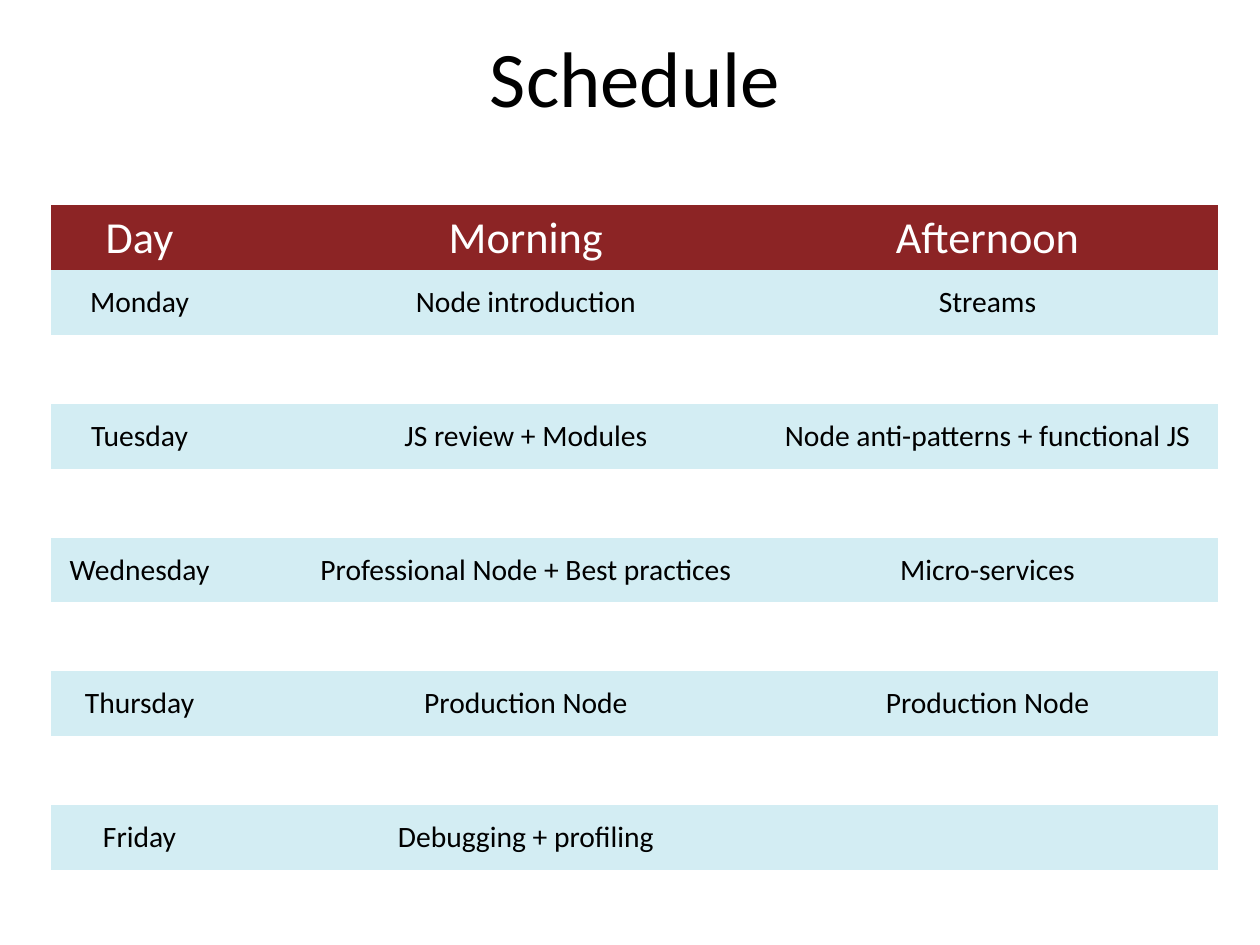
import pptx
import pptx.util
import pptx.dml.color
import pptx.enum.text

Inches = pptx.util.Inches
COLORS = {"head": "8C2425", "band": "D3EDF3", "gap": "FFFFFF",
          "light": "FFFFFF", "dark": "000000"}
HEAD = ("Day", "Morning", "Afternoon")
DAYS = [
    ("Monday", "Node introduction", "Streams"),
    ("Tuesday", "JS review + Modules", "Node anti-patterns + functional JS"),
    ("Wednesday", "Professional Node + Best practices", "Micro-services"),
    ("Thursday", "Production Node", "Production Node"),
    ("Friday", "Debugging + profiling", ""),
]
WIDTHS = (1.99, 0.76, 5.21, 5.21)
BAND, GAP = 0.73, 0.78
PLAIN = "{2D5ABB26-0587-4C30-8999-92F81FD0307C}"


def color(name):
    return pptx.dml.color.RGBColor.from_string(COLORS[name])


def write(frame, text, size, ink):
    frame.text = text
    para = frame.paragraphs[0]
    para.alignment = pptx.enum.text.PP_ALIGN.CENTER
    para.font.name = "Calibri"
    para.font.size = pptx.util.Pt(size)
    para.font.color.rgb = color(ink)


def inset(box):
    box.margin_left = box.margin_right = Inches(0.06)
    box.margin_top = box.margin_bottom = Inches(0.06)
    box.vertical_anchor = pptx.enum.text.MSO_ANCHOR.MIDDLE


def add_title(slide, text):
    title = slide.shapes.title
    title.left, title.top = Inches(0.57), Inches(0.28)
    title.width, title.height = Inches(13.19), Inches(1.15)
    inset(title.text_frame)
    write(title.text_frame, text, 64, "dark")


def fill_row(table, index, texts, fill, size, ink):
    table.rows[index].height = Inches(GAP if fill == "gap" else BAND)
    for cell in table.rows[index].cells:
        cell.fill.solid()
        cell.fill.fore_color.rgb = color(fill)
        inset(cell)
    for col, text in zip((0, 2, 3), texts):
        if text:
            write(table.cell(index, col).text_frame, text, size, ink)


def add_plan(slide):
    count = 2 * len(DAYS)
    height = BAND * (len(DAYS) + 1) + GAP * (len(DAYS) - 1)
    frame = slide.shapes.add_table(count, len(WIDTHS), Inches(0.58), Inches(2.32),
                                   Inches(sum(WIDTHS)), Inches(height))
    table = frame.table
    table.first_row = table.horz_banding = False
    table._tbl.tblPr[0].text = PLAIN
    for column, width in zip(table.columns, WIDTHS):
        column.width = Inches(width)
    fill_row(table, 0, HEAD, "head", 36, "light")
    for num, day in enumerate(DAYS):
        fill_row(table, 2 * num + 1, day, "band", 24, "dark")
    for index in range(2, count, 2):
        fill_row(table, index, (), "gap", 24, "dark")


def main():
    deck = pptx.Presentation()
    deck.slide_width, deck.slide_height = Inches(14.22), Inches(10.67)
    slide = deck.slides.add_slide(deck.slide_layouts[5])
    add_title(slide, "Schedule")
    add_plan(slide)
    deck.save("out.pptx")


if __name__ == "__main__":
    main()
